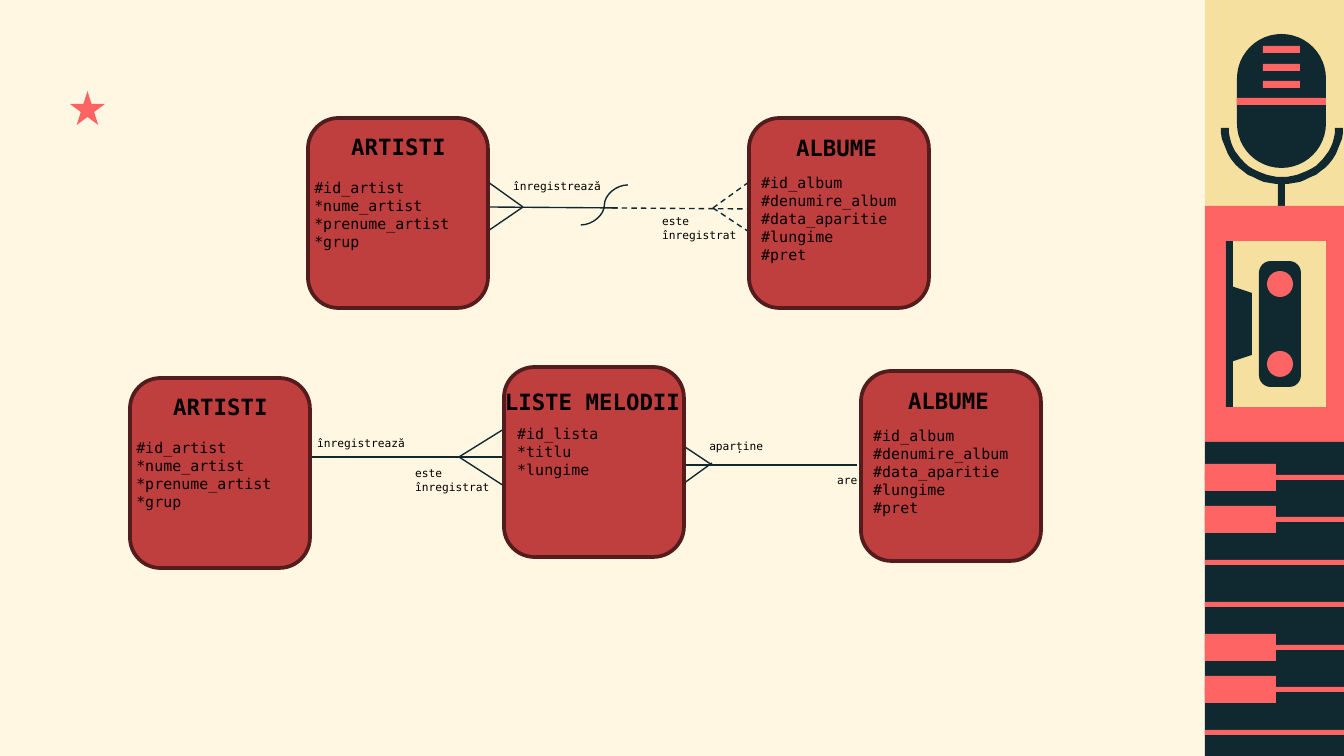
"""Build a slide with two entity diagrams for a music database and a decorated sidebar."""
from math import cos, pi, sin

from lxml.etree import SubElement
from pptx import Presentation
from pptx.dml.color import RGBColor
from pptx.enum.dml import MSO_LINE
from pptx.enum.shapes import MSO_CONNECTOR, MSO_SHAPE
from pptx.enum.text import PP_ALIGN
from pptx.oxml.ns import qn
from pptx.util import Emu, Pt

CREAM = RGBColor(0xFF, 0xF7, 0xE2)
SAND = RGBColor(0xF6, 0xE0, 0x9F)
NAVY = RGBColor(0x10, 0x28, 0x30)
CORAL = RGBColor(0xFF, 0x64, 0x64)
BRICK = RGBColor(0xBF, 0x3F, 0x3F)
MAROON = RGBColor(0x54, 0x1C, 0x1C)
BLACK = RGBColor(0, 0, 0)

SCALE = 914400 / 134.4
SLIDE_WIDTH, SLIDE_HEIGHT = 1344, 756
ENTITY_WIDTH, ENTITY_HEIGHT = 180, 190
SIDEBAR_LEFT, SIDEBAR_WIDTH = 1205, 139

ARTIST_FIELDS = ["#id_artist", "*nume_artist", "*prenume_artist", "*grup"]
ALBUM_FIELDS = ["#id_album", "#denumire_album", "#data_aparitie", "#lungime", "#pret"]
LIST_FIELDS = ["#id_lista", "*titlu", "*lungime"]
ARTIST_OFFSETS = (-73, 9), (-7, 54)
ALBUM_OFFSETS = (-76, 10), (-1, 49)
LIST_OFFSETS = (-75, 15), (0, 51)


def px(*lengths):
    return [Emu(round(length * SCALE)) for length in lengths]


class Canvas:
    font_name = "DejaVu Sans Mono"

    def __init__(self, slide):
        self.slide = slide
        slide.background.fill.solid()
        slide.background.fill.fore_color.rgb = CREAM

    def paint(self, shape, fill, outline=None):
        shape.shadow.inherit = False
        shape.fill.solid()
        shape.fill.fore_color.rgb = fill
        if outline is None:
            shape.line.fill.background()
        else:
            shape.line.color.rgb = outline
            shape.line.width = Pt(2)

    def shape(self, left, top, width, height, fill,
              kind=MSO_SHAPE.RECTANGLE, corner=None, outline=None):
        shape = self.slide.shapes.add_shape(kind, *px(left, top, width, height))
        if corner is not None:
            shape.adjustments[0] = corner
        self.paint(shape, fill, outline)

    def polygon(self, points, fill):
        builder = self.slide.shapes.build_freeform(*points[0], scale=SCALE)
        builder.add_line_segments(points[1:], close=True)
        self.paint(builder.convert_to_shape(), fill)

    def line(self, start, end, dashed=False, kind=MSO_CONNECTOR.STRAIGHT):
        connector = self.slide.shapes.add_connector(kind, *px(*start, *end))
        connector.line.color.rgb = NAVY
        connector.line.width = Pt(0.75)
        if dashed:
            connector.line.dash_style = MSO_LINE.DASH
        SubElement(connector._element.spPr, qn("a:effectLst"))

    def text(self, lines, left, top, width, height, size=6, bold=False, align=PP_ALIGN.LEFT):
        box = self.slide.shapes.add_textbox(*px(left, top, width, height))
        frame = box.text_frame
        frame.word_wrap = True
        for index, line in enumerate(lines):
            paragraph = frame.add_paragraph() if index else frame.paragraphs[0]
            paragraph.alignment = align
            run = paragraph.add_run()
            run.text = line
            run.font.name = self.font_name
            run.font.size = Pt(size)
            run.font.bold = bold
            run.font.color.rgb = BLACK

    def entity(self, left, top, title, fields, offsets):
        (title_x, title_y), (fields_x, fields_y) = offsets
        self.shape(left, top, ENTITY_WIDTH, ENTITY_HEIGHT, BRICK,
                   MSO_SHAPE.ROUNDED_RECTANGLE, 0.17, MAROON)
        self.text([title], left + title_x, top + title_y, 327, 40,
                  size=12, bold=True, align=PP_ALIGN.CENTER)
        self.text(fields, left + fields_x, top + fields_y, 215, 13 + 18 * len(fields), size=8)


def half_ring(center_x, center_y, outer, inner, steps=32):
    angles = [pi * step / steps for step in range(steps + 1)]

    def arc(radii, sweep):
        return [(center_x + radii[0] * cos(angle), center_y + radii[1] * sin(angle))
                for angle in sweep]

    return arc(outer, angles) + arc(inner, reversed(angles))


def draw_microphone(canvas):
    canvas.shape(SIDEBAR_LEFT, 0, SIDEBAR_WIDTH, 206, SAND)
    canvas.shape(1237, 34, 89, 134, NAVY, MSO_SHAPE.ROUNDED_RECTANGLE, 0.5)
    canvas.shape(1237, 98, 89, 7, CORAL)
    for top in (46, 64, 81):
        canvas.shape(1263, top, 37, 7, CORAL)
    canvas.polygon(half_ring(1282, 128, (61, 56), (53, 49)), NAVY)
    canvas.shape(1278, 181, 7, 25, NAVY)


def draw_cassette(canvas):
    canvas.shape(SIDEBAR_LEFT, 206, SIDEBAR_WIDTH, 236, CORAL)
    canvas.shape(1226, 241, 100, 166, SAND)
    canvas.polygon([(1252, 293), (1228, 285), (1228, 363), (1252, 355)], NAVY)
    canvas.shape(1226, 241, 7, 166, NAVY)
    canvas.shape(1259, 261, 42, 126, NAVY, MSO_SHAPE.ROUNDED_RECTANGLE, 0.28)
    for top in (271, 351):
        canvas.shape(1267, top, 26, 26, CORAL, MSO_SHAPE.OVAL)


def draw_piano(canvas):
    canvas.shape(SIDEBAR_LEFT, 442, SIDEBAR_WIDTH, 314, NAVY)
    for index in range(7):
        top = 475 + index * 85 // 2
        canvas.shape(SIDEBAR_LEFT, top, SIDEBAR_WIDTH, 5, CORAL)
        if index in (0, 1, 4, 5):
            canvas.shape(SIDEBAR_LEFT, top - 11, 71, 27, CORAL)


def draw_relations(canvas):
    canvas.line((488, 207), (618, 208))
    for y in (182, 232):
        canvas.line((713, 208), (749, y), dashed=True)
    for y in (182, 231):
        canvas.line((523, 207), (488, y))
    canvas.line((628, 185), (581, 225), kind=MSO_CONNECTOR.CURVE)
    canvas.line((612, 208), (750, 209), dashed=True)
    canvas.line((308, 457), (629, 457))
    for y in (429, 486):
        canvas.line((459, 457), (504, y))
    canvas.line((671, 465), (857, 465))
    canvas.line((676, 489), (712, 463))
    canvas.line((676, 441), (712, 465))


def draw_entities(canvas):
    canvas.entity(504, 367, "LISTE MELODII", LIST_FIELDS, LIST_OFFSETS)
    for left, top in ((749, 118), (861, 371)):
        canvas.entity(left, top, "ALBUME", ALBUM_FIELDS, ALBUM_OFFSETS)
    for left, top in ((308, 118), (130, 378)):
        canvas.entity(left, top, "ARTISTI", ARTIST_FIELDS, ARTIST_OFFSETS)


def draw_labels(canvas):
    for left, top, lines in (
        (500, 173, ["înregistrează"]),
        (649, 208, ["este", "înregistrat"]),
        (304, 430, ["înregistrează"]),
        (824, 467, ["are"]),
        (402, 460, ["este", "înregistrat"]),
        (696, 433, ["aparține"]),
    ):
        canvas.text(lines, left, top, 117, 14 + 13 * len(lines))


def main():
    presentation = Presentation()
    presentation.slide_width, presentation.slide_height = px(SLIDE_WIDTH, SLIDE_HEIGHT)
    canvas = Canvas(presentation.slides.add_slide(presentation.slide_layouts[6]))
    draw_microphone(canvas)
    draw_cassette(canvas)
    draw_piano(canvas)
    canvas.shape(70, 91, 35, 34, CORAL, MSO_SHAPE.STAR_5_POINT)
    draw_relations(canvas)
    draw_entities(canvas)
    draw_labels(canvas)
    presentation.save("out.pptx")


if __name__ == "__main__":
    main()
